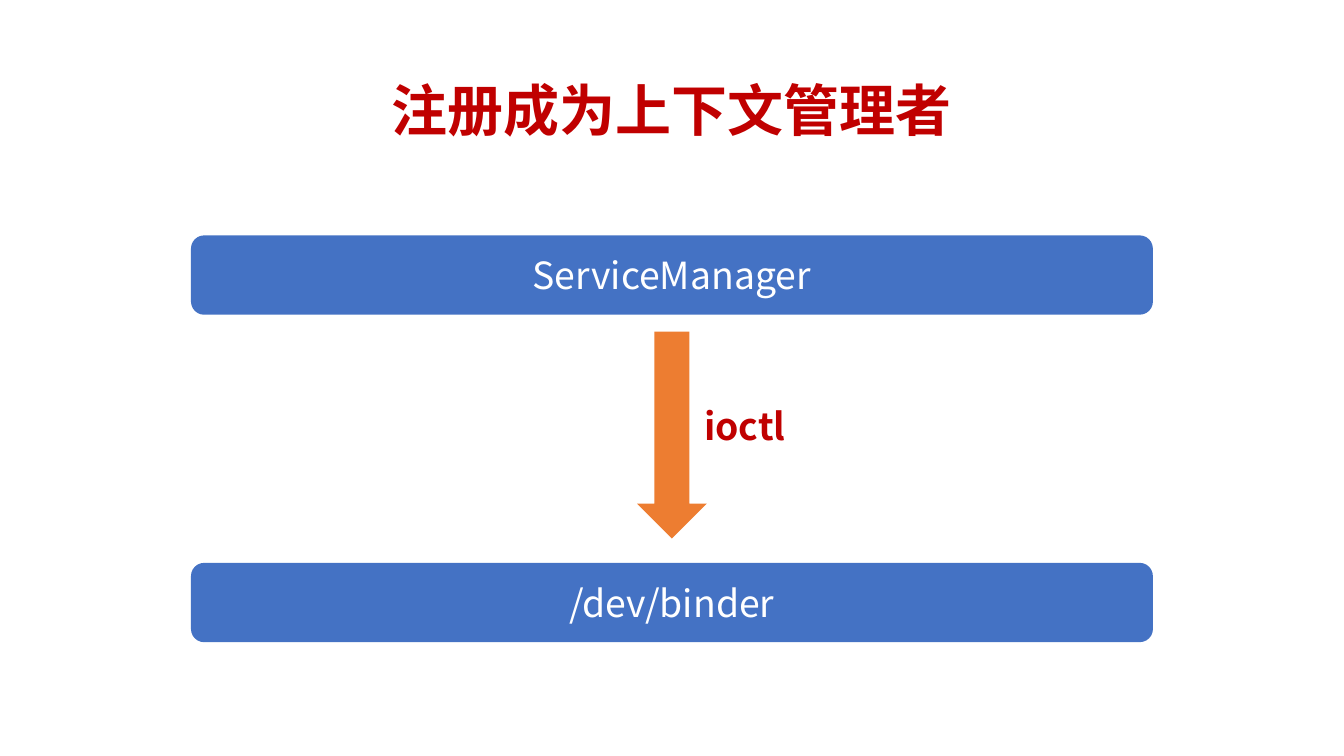
from pptx import Presentation
from pptx.dml.color import RGBColor
from pptx.enum.shapes import MSO_SHAPE as SHAPE
from pptx.enum.text import MSO_ANCHOR as ANCHOR, MSO_AUTO_SIZE as AUTO, PP_ALIGN as ALIGN
from pptx.util import Cm, Pt
from lxml import etree

FONT = "Noto Sans CJK SC"
RED = RGBColor(0xC0, 0x00, 0x00)
BLUE = RGBColor(0x44, 0x72, 0xC4)
ORANGE = RGBColor(0xED, 0x7D, 0x31)
WHITE = RGBColor(0xFF, 0xFF, 0xFF)


def write(sp, text, size, color, bold=False, align=ALIGN.CENTER):
    tf = sp.text_frame
    tf.vertical_anchor = ANCHOR.MIDDLE
    p = tf.paragraphs[0]
    p.text = text
    p.alignment = align
    p.font.name = FONT
    p.font.size = Pt(size)
    p.font.bold = bold
    p.font.color.rgb = color
    latin = p.font._element.find("{*}latin")
    ea = etree.Element(latin.tag.replace("latin", "ea"), typeface=FONT)
    latin.addnext(ea)
    return tf


def add_solid(kind, left, top, width, height, color):
    sp = s.shapes.add_shape(kind, Cm(left), Cm(top), Cm(width), Cm(height))
    sp.shadow.inherit = False
    sp.fill.solid()
    sp.fill.fore_color.rgb = color
    sp.line.fill.background()
    return sp


prs = Presentation()
prs.slide_width, prs.slide_height = Cm(25.4), Cm(14.29)
s = prs.slides.add_slide(prs.slide_layouts[6])

title = s.shapes.add_textbox(Cm(1.75), Cm(0.76), Cm(21.9), Cm(2.77))
tf = write(title, "注册成为上下文管理者", 30, RED, bold=True)
tf.word_wrap = True
tf.paragraphs[0].line_spacing = 0.9

for text, top in (("ServiceManager", 4.45), ("/dev/binder", 10.64)):
    box = add_solid(SHAPE.ROUNDED_RECTANGLE, 3.61, top, 18.18, 1.5, BLUE)
    write(box, text, 20, WHITE)

add_solid(SHAPE.DOWN_ARROW, 12.04, 6.27, 1.32, 3.91, ORANGE)

label = s.shapes.add_textbox(Cm(13.06), Cm(7.49), Cm(2.06), Cm(1.12))
tf = write(label, "ioctl", 20, RED, bold=True, align=ALIGN.LEFT)
tf.vertical_anchor = ANCHOR.TOP
tf.word_wrap = False
tf.auto_size = AUTO.SHAPE_TO_FIT_TEXT

prs.save("out.pptx")
